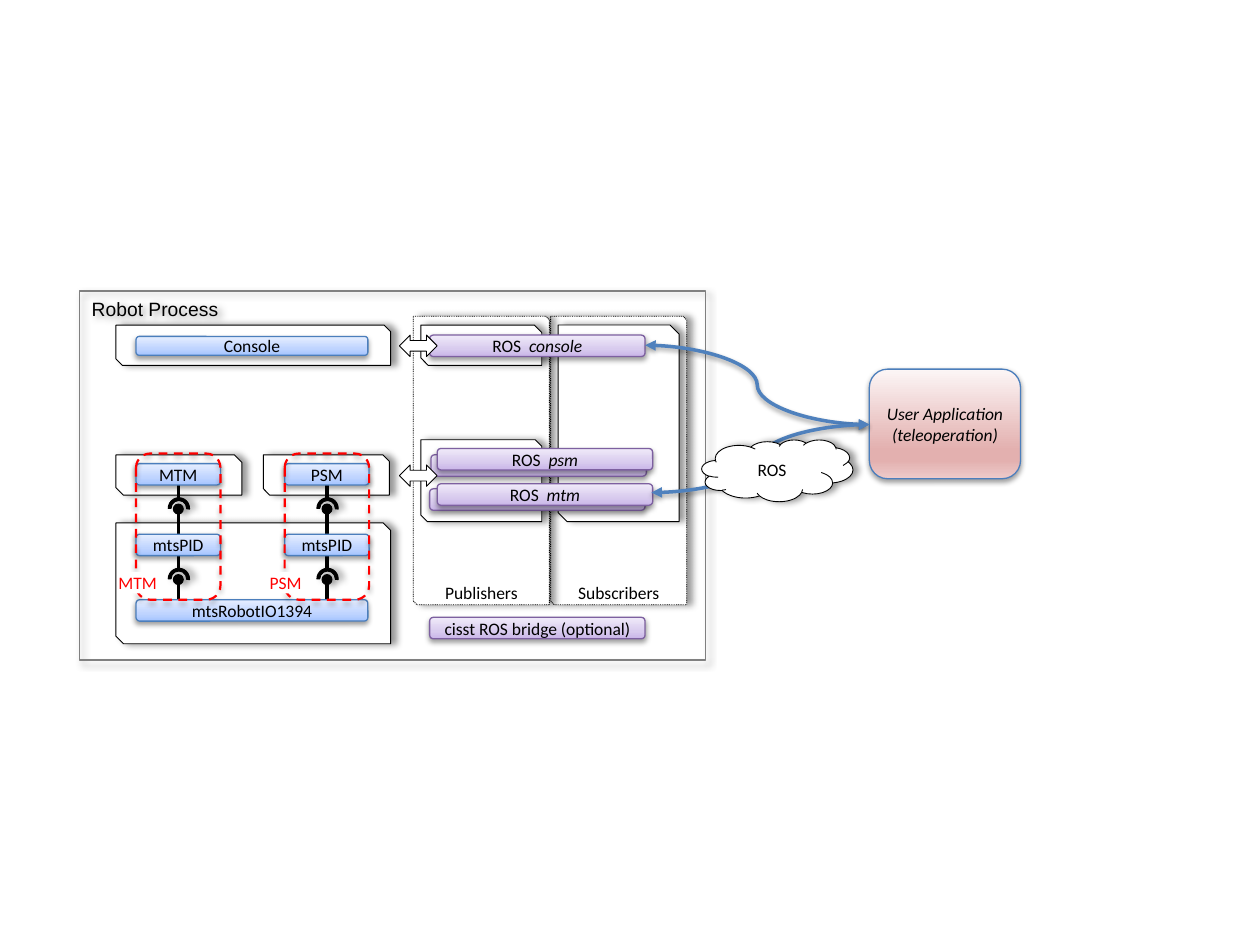
from lxml.etree import SubElement
from pptx import Presentation
from pptx.dml.color import RGBColor
from pptx.enum.dml import MSO_LINE as Dash
from pptx.enum.shapes import MSO_CONNECTOR as Link, MSO_SHAPE as Kind
from pptx.enum.text import MSO_ANCHOR as Anchor, PP_ALIGN as Align
from pptx.oxml.ns import qn
from pptx.util import Inches, Pt

THEME = {
    "font": "Calibri", "title_font": "Arial", "size": 10, "title_size": 11,
    "ink": "000000", "paper": "FFFFFF", "alert": "FF0000", "frame": "808080",
    "blue_line": "4B7EBC", "purple_line": "7D60A0", "link": "4F81BD",
    "blue": (90, [(0, "A4C4FF"), (35, "BFD4FF"), (100, "E6EEFF")]),
    "purple": (90, [(0, "C9B5E8"), (35, "D8CBEE"), (100, "F0EAF9")]),
    "rose": (270, [(0, "FCF6F6"), (74, "E3B0AF"), (83, "E3B0AF"), (100, "ECCACA")]),
}
SIDE = (40, 4, 3, 0)
CORNER = (40, 4, 3, 45)
BELOW = (38, 3.1, 1.6, 90)

PROCESS = "Robot Process"
ARM_LEFT, ARM_STEP, ARM_WIDTH, NODE_HEIGHT = 1.08, 1.18, 0.67, 0.17
ARMS = [("MTM", 0.94, 0.32), ("PSM", 2.14, 0.29)]
LEVELS = {"arm": 3.68, "pid": 4.24}
GROUPS = [("Subscribers", 4.37), ("Publishers", 3.28)]
PANELS = [
    (0.92, 4.15, 2.18, 0.96, 0.062),
    (0.92, 2.58, 2.18, 0.32, 0.161),
    (3.34, 3.49, 0.96, 0.65, 0.08),
    (3.34, 2.58, 0.96, 0.32, 0.185),
    (0.92, 3.61, 1, 0.32, 0.185),
    (2.09, 3.61, 1, 0.32, 0.16),
    (4.43, 2.58, 0.96, 1.56, 0.074),
]
WIDE_NODES = [("mtsRobotIO1394", 4.76, 0.17), ("Console", 2.67, 0.15)]
BRIDGES = [
    (3.41, 2.66, [("ROS  ", False), ("console", True)]),
    (3.42, 3.61, []),
    (3.47, 3.56, [("ROS  ", False), ("psm", True)]),
    (3.41, 3.88, []),
    (3.47, 3.84, [("ROS  ", False), ("mtm", True)]),
    (3.41, 4.9, [("cisst ROS bridge (optional)", False)]),
]
ARROW_TOPS = [2.66, 3.69]
APPLICATION = ["User Application", "(teleoperation)"]
LINKS = [(5.12, 2.74), (5.17, 3.91)]
LINK_END = (6.9, 3.37)

deck = Presentation()
deck.slide_width, deck.slide_height = Inches(10), Inches(7.5)
page = deck.slides.add_slide(deck.slide_layouts[6])


def rgb(name):
    return RGBColor.from_string(THEME.get(name, name))


def add_shadow(effects, shadow, tone="000000"):
    alpha, blur, distance, angle = shadow
    outer = SubElement(effects, qn("a:outerShdw"), blurRad=str(Pt(blur)),
                       dist=str(Pt(distance)), dir=str(angle * 60000), rotWithShape="0")
    color = SubElement(outer, qn("a:srgbClr"), val=tone)
    SubElement(color, qn("a:alpha"), val=str(alpha * 1000))


def paint(shape, fill):
    if fill is None:
        shape.fill.background()
    elif isinstance(THEME[fill], tuple):
        angle, stops = THEME[fill]
        shape.fill.gradient()
        shape.fill.gradient_angle = angle
        stop_list = shape._element.spPr.find(".//" + qn("a:gsLst"))
        for old in list(stop_list):
            stop_list.remove(old)
        for position, tone in stops:
            stop = SubElement(stop_list, qn("a:gs"), pos=str(position * 1000))
            SubElement(stop, qn("a:srgbClr"), val=tone)
    else:
        shape.fill.solid()
        shape.fill.fore_color.rgb = rgb(fill)


def add_text(shape, paragraphs, color="ink", size="size", font="font",
             align=Align.CENTER, anchor=Anchor.MIDDLE, inset=(0, 0)):
    frame = shape.text_frame
    frame.word_wrap = True
    frame.vertical_anchor = anchor
    frame.margin_left = frame.margin_right = Inches(inset[0])
    frame.margin_top = frame.margin_bottom = Inches(inset[1])
    for index, runs in enumerate(paragraphs):
        para = frame.add_paragraph() if index else frame.paragraphs[0]
        para.alignment = align
        for text, italic in runs:
            span = para.add_run()
            span.text = text
            span.font.name, span.font.size = THEME[font], Pt(THEME[size])
            span.font.italic = italic
            span.font.color.rgb = rgb(color)


def add_box(kind, left, top, width, height, fill="paper", line="ink", weight=0.5,
            dash=None, shadow=None, adjust=(), text=(), **text_format):
    box = page.shapes.add_shape(kind, *map(Inches, (left, top, width, height)))
    for index, value in enumerate(adjust):
        box.adjustments[index] = value
    paint(box, fill)
    if line:
        box.line.color.rgb = rgb(line)
        box.line.width = Pt(weight)
        if dash:
            box.line.dash_style = dash
    else:
        box.line.fill.background()
    box.shadow.inherit = False
    if shadow:
        add_shadow(box._element.spPr.find(qn("a:effectLst")), shadow)
    if text:
        add_text(box, text, **text_format)
    return box


def add_link(kind, start, end, color="ink", heads=False, shadow=None):
    link = page.shapes.add_connector(kind, *map(Inches, (*start, *end)))
    link.line.color.rgb = rgb(color)
    link.line.width = Pt(2)
    properties = link._element.spPr
    if heads:
        for tag in ("a:headEnd", "a:tailEnd"):
            SubElement(properties.find(qn("a:ln")), qn(tag), type="triangle")
    effects = SubElement(properties, qn("a:effectLst"))
    if shadow:
        add_shadow(effects, shadow)


def add_node(left, top, width, height, text, tint="blue"):
    add_box(Kind.ROUNDED_RECTANGLE, left, top, width, height, fill=tint,
            line=tint + "_line", weight=0.75, shadow=BELOW, text=text)


def add_joint(center, top):
    add_link(Link.STRAIGHT, (center, top), (center, top + 0.1))
    add_box(Kind.BLOCK_ARC, center - 0.08, top + 0.1, 0.17, 0.17, fill="ink",
            shadow=SIDE, adjust=(108, 2.353, 0.137))
    add_box(Kind.FLOWCHART_CONNECTOR, center - 0.04, top + 0.15, 0.08, 0.08,
            fill="ink", shadow=SIDE)
    add_link(Link.STRAIGHT, (center, top + 0.2), (center, top + 0.39))


for name, left in GROUPS:
    add_box(Kind.SNIP_2_DIAG_RECTANGLE, left, 2.51, 1.08, 2.29, dash=Dash.ROUND_DOT,
            shadow=SIDE, adjust=(0, 0.027), text=[[(name, False)]], anchor=Anchor.BOTTOM)
for *place, snip in PANELS:
    add_box(Kind.SNIP_2_DIAG_RECTANGLE, *place, shadow=SIDE, adjust=(0, snip))

arm_lefts = [ARM_LEFT + index * ARM_STEP for index in range(len(ARMS))]
for left in arm_lefts:
    for top in LEVELS.values():
        add_joint(left + ARM_WIDTH / 2, top + NODE_HEIGHT)
for name, top, height in WIDE_NODES:
    add_node(ARM_LEFT, top, 1.84, height, [[(name, False)]])
for left, top, runs in BRIDGES:
    add_node(left, top, 1.71, NODE_HEIGHT, [runs], tint="purple")
for top in ARROW_TOPS:
    add_box(Kind.LEFT_RIGHT_ARROW, 3.17, top, 0.3, 0.17)

for left, (name, label_left, label_width) in zip(arm_lefts, ARMS):
    for text, top in zip((name, "mtsPID"), LEVELS.values()):
        add_node(left, top, ARM_WIDTH, NODE_HEIGHT, [[(text, False)]])
    add_box(Kind.ROUNDED_RECTANGLE, left, 3.6, ARM_WIDTH, 1.16, fill=None, line="alert",
            weight=1.25, dash=Dash.DASH, shadow=(35, 3.1, 1.8, 90))
    add_box(Kind.RECTANGLE, label_left, 4.54, label_width, 0.17, line=None,
            text=[[(name, False)]], color="alert", align=Align.LEFT, anchor=Anchor.TOP)

add_box(Kind.ROUNDED_RECTANGLE, 6.9, 2.93, 1.2, 0.87, fill="rose", line="blue_line",
        weight=0.75, shadow=BELOW, text=[[(row, True)] for row in APPLICATION])
add_box(Kind.RECTANGLE, 0.63, 2.31, 4.97, 2.93, fill=None, line="frame", weight=0.75,
        shadow=CORNER, text=[[(PROCESS, False)]], size="title_size",
        font="title_font", align=Align.LEFT, anchor=Anchor.TOP, inset=(0.1, 0.05))
for start in LINKS:
    add_link(Link.CURVE, start, LINK_END, color="link", heads=True, shadow=BELOW)
add_box(Kind.CLOUD, 5.57, 3.49, 1.2, 0.49, shadow=SIDE, text=[[("ROS", False)]])

deck.save("out.pptx")
